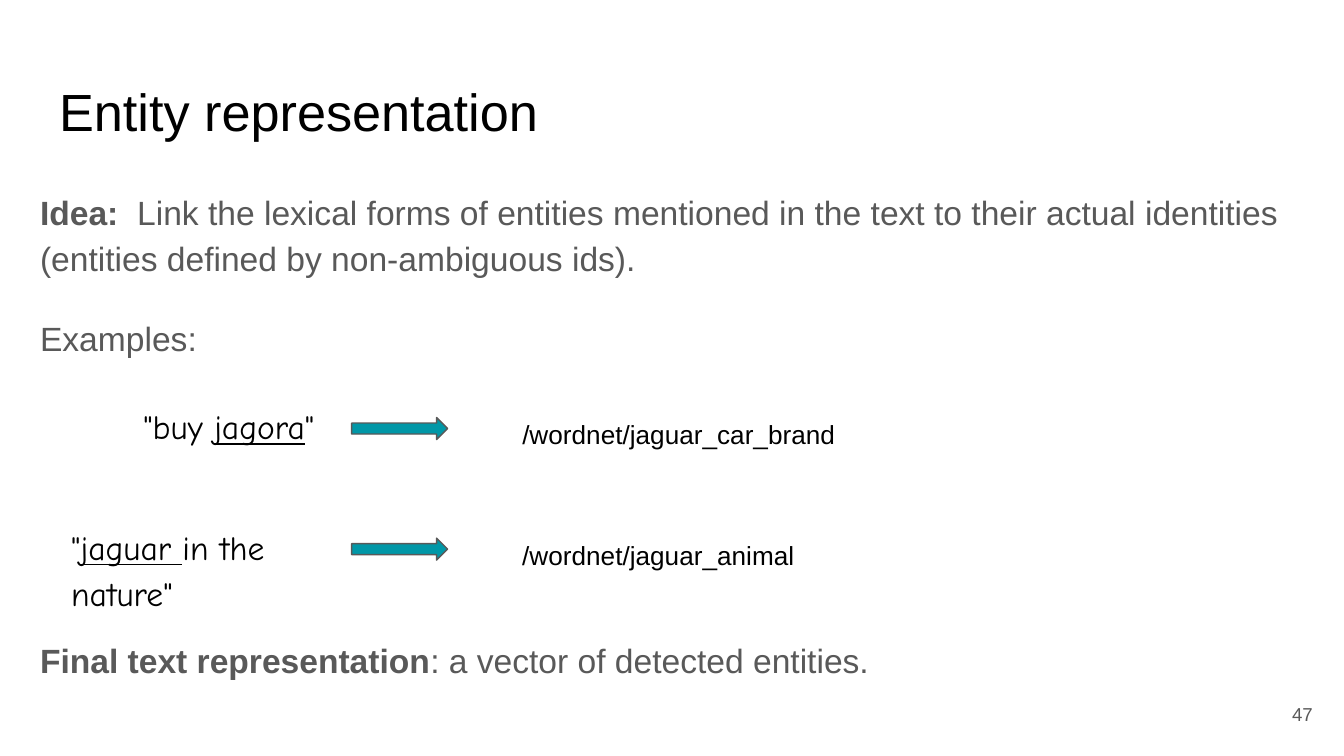
from pptx import Presentation
from pptx.dml.color import RGBColor
from pptx.enum.shapes import MSO_SHAPE
from pptx.enum.text import MSO_ANCHOR, PP_ALIGN
from pptx.util import Pt

ARROW = MSO_SHAPE.RIGHT_ARROW
TOP, MIDDLE = MSO_ANCHOR.TOP, MSO_ANCHOR.MIDDLE
LEFT, RIGHT = PP_ALIGN.LEFT, PP_ALIGN.RIGHT

THEME = {
    "black": RGBColor(0x00, 0x00, 0x00),
    "grey": RGBColor(0x59, 0x59, 0x59),
    "teal": RGBColor(0x00, 0x97, 0xA7),
    "font": "Arial", "hand": "Comic Neue",
    "title": 28, "body": 18, "id": 14, "number": 10,
}
INSET = 7.2
LINE = 1.15

# Each paragraph is a list of (text, style) runs; style is "", "b" or "u".
TITLE = [[("Entity representation", "")]]
IDEA = [[("Idea: ", "b"),
         (" Link the lexical forms of entities mentioned in the text to their "
          "actual identities (entities defined by non-ambiguous ids).", "")]]
BODY = [[("Examples:", "")],
        [("Final text representation", "b"),
         (": a vector of detected entities.", "")]]
NUMBER = [[("47", "")]]

# Mention, its left edge and width, entity id, width of the id
EXAMPLES = [
    ([("\"buy ", ""), ("jagora", "u"), ("\"", "")], 69.8, 119.5,
     "/wordnet/jaguar_car_brand", 221.8),
    ([("\"", ""), ("jaguar ", "u"), ("in the nature\"", "")], 31, 159.8,
     "/wordnet/jaguar_animal", 169.9),
]
ROW_TOP, ROW_STEP = 207.2, 64.6
ARROW_LEFT, ARROW_DROP, ARROW_W, ARROW_H = 188.4, 16.5, 51.4, 11.8
ID_LEFT, ID_DROP, ID_H = 272.7, 7.4, 30.2
MENTION_H = 45.4
EXAMPLES_GAP = 148  # room for the example rows inside the body text


def put_text(sp, paragraphs, size, color, font=THEME["font"], align=LEFT,
             anchor=TOP, line=LINE, gap=0):
    tf = sp.text_frame
    tf.word_wrap = True
    tf.vertical_anchor = anchor
    tf.margin_left = tf.margin_right = Pt(INSET)
    tf.margin_top = tf.margin_bottom = Pt(INSET)
    for i, runs in enumerate(paragraphs):
        p = tf.add_paragraph() if i else tf.paragraphs[0]
        p.alignment = align
        p.line_spacing = line
        p.space_before = Pt(gap if i else 0)
        for text, style in runs:
            r = p.add_run()
            r.text = text
            r.font.name = font
            r.font.size = Pt(size)
            r.font.color.rgb = color
            r.font.bold = style == "b"
            r.font.underline = style == "u"


def add_text(s, box, paragraphs, size, color, **fmt):
    sp = s.shapes.add_textbox(*map(Pt, box))
    put_text(sp, paragraphs, size, color, **fmt)


def add_arrow(s, box):
    sp = s.shapes.add_shape(ARROW, *map(Pt, box))
    sp.shadow.inherit = False
    sp.fill.solid()
    sp.fill.fore_color.rgb = THEME["teal"]
    sp.line.color.rgb = THEME["grey"]
    sp.line.width = Pt(0.75)


def main():
    prs = Presentation()
    prs.slide_width, prs.slide_height = Pt(720), Pt(405)
    s = prs.slides.add_slide(prs.slide_layouts[5])
    black, grey, body = THEME["black"], THEME["grey"], THEME["body"]

    title = s.shapes.title
    title.left, title.top, title.width, title.height = map(
        Pt, (24.5, 35.3, 671, 45.4))
    put_text(title, TITLE, THEME["title"], black, line=1)

    add_text(s, (14.4, 159.8, 703.4, 198.7), BODY, body, grey, gap=EXAMPLES_GAP)
    add_text(s, (14.4, 92.2, 691.2, 67.7), IDEA, body, grey)
    add_text(s, (667.2, 367.2, 43.2, 31), NUMBER, THEME["number"], grey,
             align=RIGHT, anchor=MIDDLE, line=1)

    for i, (mention, left, width, entity, id_width) in enumerate(EXAMPLES):
        top = ROW_TOP + i * ROW_STEP
        add_text(s, (left, top, width, MENTION_H), [mention], body, black,
                 font=THEME["hand"])
        add_arrow(s, (ARROW_LEFT, top + ARROW_DROP, ARROW_W, ARROW_H))
        add_text(s, (ID_LEFT, top + ID_DROP, id_width, ID_H),
                 [[(entity, "")]], THEME["id"], black)

    prs.save("out.pptx")


if __name__ == "__main__":
    main()
